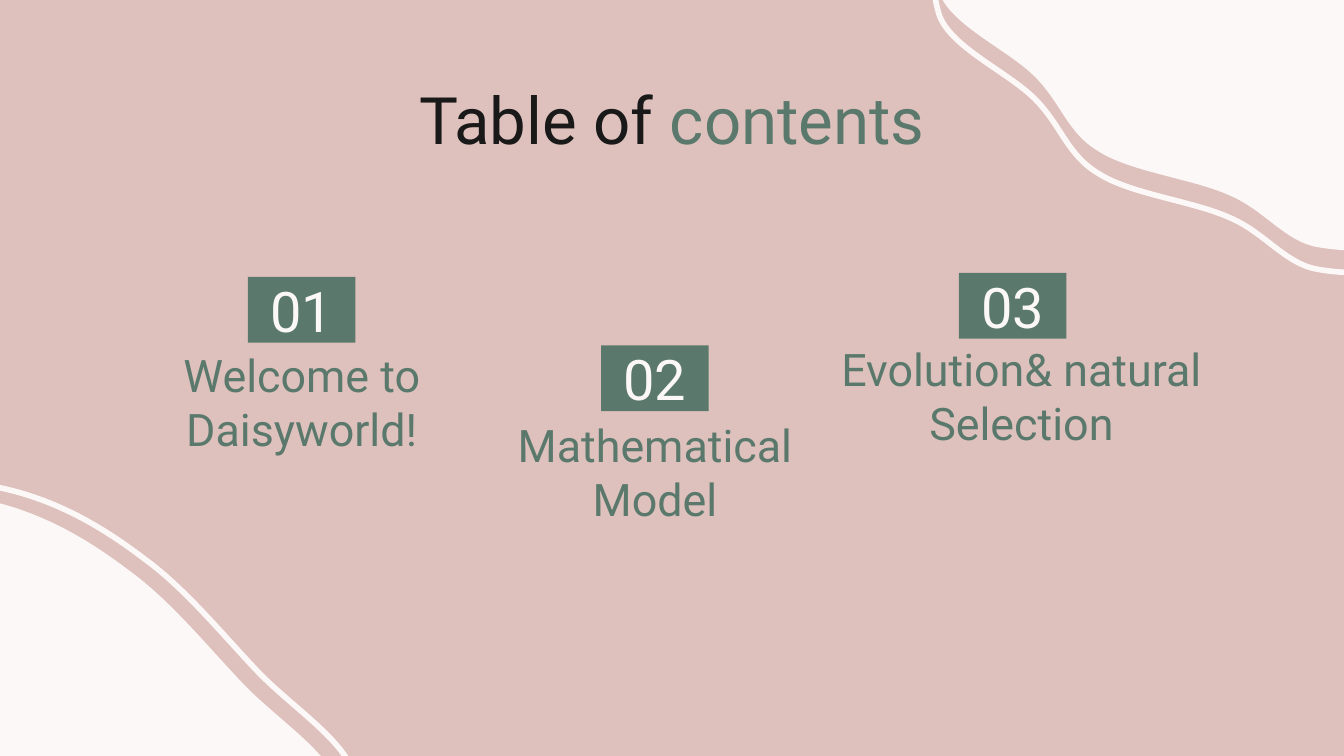
from math import cos, radians, sin

from lxml.etree import SubElement
from pptx import Presentation
from pptx.dml.color import RGBColor as Color
from pptx.enum.shapes import MSO_SHAPE as Preset
from pptx.enum.text import MSO_ANCHOR as Anchor, PP_ALIGN as Align
from pptx.oxml.ns import qn
from pptx.util import Inches, Pt

COLORS = {"rose": "DEC1BC", "cream": "FCF8F8", "green": "5A796C", "ink": "191919"}
FONT = "Roboto"

deck = Presentation()
deck.slide_width = Inches(10)
deck.slide_height = deck.slide_width * 9 // 16
CELL = deck.slide_width / 100  # grid of 100 columns, square cells

page = deck.slides.add_slide(deck.slide_layouts[6])
page.background.fill.solid()
page.background.fill.fore_color.rgb = Color.from_string(COLORS["rose"])


def cells(*numbers):
    """Turn grid cells into slide lengths."""
    return [round(number * CELL) for number in numbers]


def write(box, spans, size, anchor):
    """Fill a box with one centred paragraph of (text, colour) spans."""
    frame = box.text_frame
    layout = {"word_wrap": True, "vertical_anchor": anchor}
    layout |= {f"margin_{side}": round(CELL) for side in ("left", "top", "right", "bottom")}
    for name, value in layout.items():
        setattr(frame, name, value)
    para = frame.paragraphs[0]
    para.alignment = Align.CENTER
    for text, color in spans:
        span = para.add_run()
        span.text = text
        for name, value in {"name": FONT, "size": Pt(size)}.items():
            setattr(span.font, name, value)
        span.font.color.rgb = Color.from_string(COLORS[color])


# Corner waves: a filled blob and a shifted outline of the same shape.
# Each curve is two control points and an end; the last end is the start.
waves = [
    {"box": (-20.5, 37.5, 46.9, 31.2), "turn": 5.8, "shift": (1.1, -0.9), "curves": [
        (-16.3, 38.2, -13.7, 37.1, -10.7, 36.6), (-7.6, 36.2, -2.9, 36.6, 0.5, 37.6),
        (3.9, 38.6, 6.8, 40.3, 9.8, 42.6), (12.8, 44.8, 15.7, 48.4, 18.3, 51.1),
        (20.9, 53.7, 24.5, 56, 25.3, 58.6), (26.1, 61.2, 26, 65.1, 22.9, 66.9),
        (19.8, 68.6, 13.5, 69.6, 6.7, 69.1), (0, 68.6, -13, 67.4, -17.5, 64.1),
        (-22, 60.8, -20, 53.2, -20, 49.2), (-20.1, 45.3, -19.4, 42.4, -17.9, 40.3)]},
    {"box": (69.5, -10.8, 41.6, 29.5), "turn": 0, "shift": (0, 1.65), "curves": [
        (103.9, 18.9, 100.5, 18.8, 98.1, 18.4), (95.6, 18, 94.1, 15.6, 91.4, 14.5),
        (88.7, 13.3, 84.2, 12.8, 81.8, 11.3), (79.4, 9.9, 79, 7.7, 77, 5.7),
        (75, 3.7, 70.8, 1.9, 69.9, -0.5), (69.1, -3, 69.1, -7.2, 72, -8.9),
        (74.9, -10.6, 81.2, -11.1, 87.3, -10.7), (93.5, -10.3, 104.8, -9.2, 108.7, -6.3),
        (112.5, -3.3, 110.8, 2.9, 110.3, 6.8), (109.9, 10.6, 108, 15, 106, 17)]},
]
for wave in waves:
    left, top, width, height = wave["box"]
    angle = radians(wave["turn"])

    # Points within the box, as they lie before the box is turned
    points = []
    for curve in wave["curves"]:
        for x, y in zip(curve[::2], curve[1::2]):
            dx, dy = x - left - width / 2, y - top - height / 2
            points.append(cells(width / 2 + dx * cos(angle) + dy * sin(angle),
                                height / 2 - dx * sin(angle) + dy * cos(angle)))

    for outlined, (right, down) in ((False, (0, 0)), (True, wave["shift"])):
        builder = page.shapes.build_freeform(*points[-1])
        builder.add_line_segments(points[2::3], close=True)
        blob = builder.convert_to_shape()

        # Replace the straight segments with curves
        outline = blob.element.find(".//" + qn("a:path"))
        for part in list(outline):
            outline.remove(part)
        segments = [("a:moveTo", points[-1:])]
        segments += [("a:cubicBezTo", points[i:i + 3]) for i in range(0, len(points), 3)]
        for tag, ends in segments + [("a:close", [])]:
            segment = SubElement(outline, qn(tag))
            for x, y in ends:
                SubElement(segment, qn("a:pt"), x=str(x), y=str(y))
        place = cells(left + right, top + down, width, height)
        for name, value in zip(("w", "h"), place[2:]):
            outline.set(name, str(value))
        for name, value in zip(("left", "top", "width", "height"), place):
            setattr(blob, name, value)
        blob.rotation = wave["turn"]

        blob.shadow.inherit = False
        paint, blank = (blob.line.fill, blob.fill) if outlined else (blob.fill, blob.line.fill)
        blank.background()
        paint.solid()
        paint.fore_color.rgb = Color.from_string(COLORS["cream"])
        if outlined:
            blob.line.width = Pt(3)

# Title
title = page.shapes.add_textbox(*cells(7.85, 4.9, 84.3, 6.3))
write(title, [("Table of", "ink"), (" contents", "green")], 35, Anchor.TOP)

# Numbered entries: badge centre and top, caption centre, top and width
entries = [
    ("Welcome to Daisyworld!", 22.45, 20.6, 22.45, 30.6, 25.2),
    ("Mathematical Model", 48.73, 25.7, 48.73, 35.8, 25.2),
    ("Evolution& natural Selection", 75.35, 20.3, 76, 30.15, 29.4),
]
BADGE_WIDTH, BADGE_HEIGHT, CAPTION_HEIGHT = 8, 4.9, 4.3
for number, (text, middle, top, center, caption_top, width) in enumerate(entries, 1):
    badge = page.shapes.add_shape(
        Preset.RECTANGLE, *cells(middle - BADGE_WIDTH / 2, top, BADGE_WIDTH, BADGE_HEIGHT))
    badge.shadow.inherit = False
    badge.fill.solid()
    badge.fill.fore_color.rgb = Color.from_string(COLORS["green"])
    badge.line.fill.background()
    write(badge, [(f"{number:02}", "cream")], 30, Anchor.MIDDLE)

    caption = page.shapes.add_textbox(
        *cells(center - width / 2, caption_top, width, CAPTION_HEIGHT))
    write(caption, [(text, "green")], 24, Anchor.BOTTOM)

deck.save("out.pptx")
